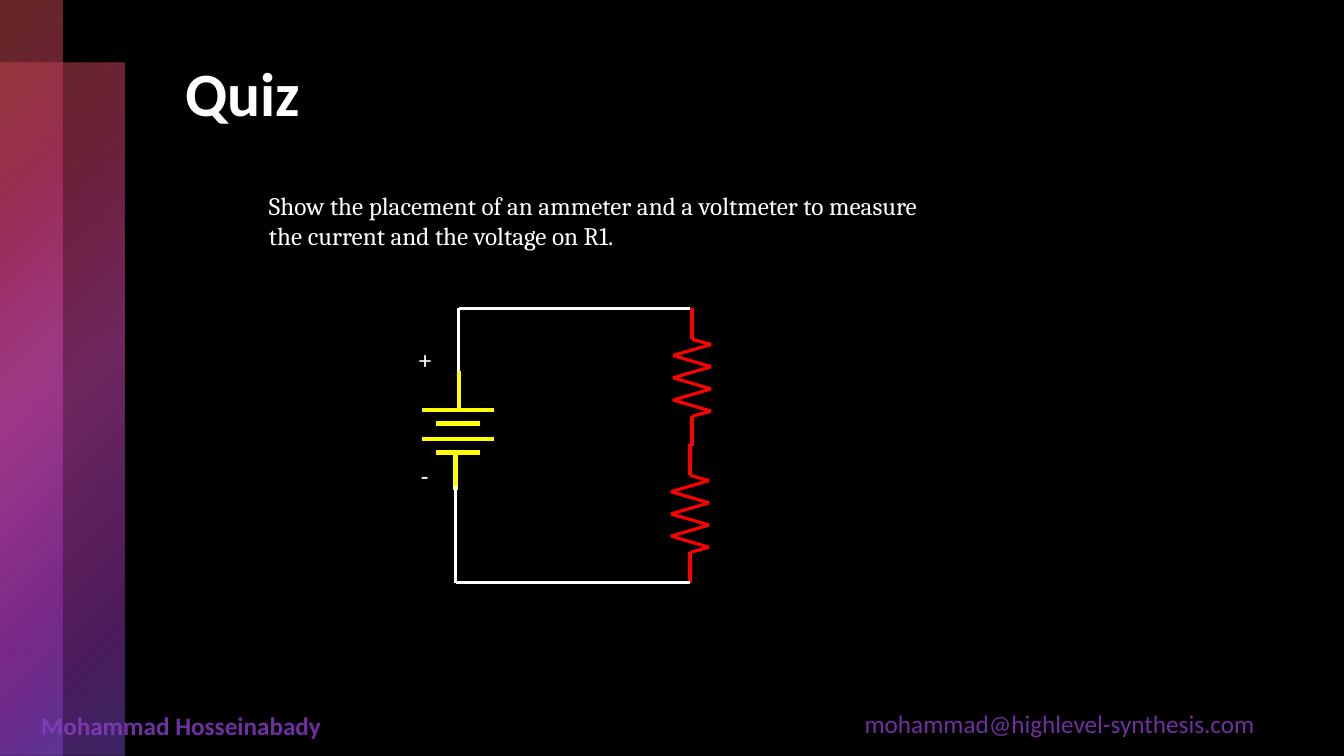
from itertools import pairwise
from lxml import etree
from pptx import Presentation
from pptx.dml.color import RGBColor
from pptx.enum.shapes import MSO_CONNECTOR as Link, MSO_SHAPE as Kind
from pptx.oxml.ns import qn
from pptx.util import Cm, Pt

WHITE = RGBColor(0xFF, 0xFF, 0xFF)
BLACK = RGBColor(0x00, 0x00, 0x00)
RED = RGBColor(0xFF, 0x00, 0x00)
YELLOW = RGBColor(0xFF, 0xFF, 0x00)
PURPLE = RGBColor(0x70, 0x30, 0xA0)
STOPS = [
    (0, RGBColor(0xC8, 0x4E, 0x48), 50),
    (25, RGBColor(0xB6, 0x36, 0x65), 60),
    (50, RGBColor(0xC8, 0x48, 0xAC), 55),
    (81, RGBColor(0x9C, 0x36, 0xB6), 50),
    (99, RGBColor(0x79, 0x48, 0xC8), 50),
]

deck = Presentation()
deck.slide_width, deck.slide_height = Cm(33.87), Cm(19.05)
slide = deck.slides.add_slide(deck.slide_layouts[6])
slide.background.fill.solid()
slide.background.fill.fore_color.rgb = BLACK
shapes = slide.shapes


def write(text, left, top, width, height, color=WHITE, size=18, font="Calibri", bold=False, wrap=True):
    box = shapes.add_textbox(Cm(left), Cm(top), Cm(width), Cm(height))
    frame = box.text_frame
    frame.word_wrap = wrap
    frame.text = text
    style = frame.paragraphs[0].runs[0].font
    style.name, style.size, style.bold = font, Pt(size), bold
    style.color.rgb = color


def wire(start, end, color, width):
    line = shapes.add_connector(Link.STRAIGHT, *map(Cm, start + end))
    line.line.color.rgb = color
    line.line.width = Pt(width)
    etree.SubElement(line._element.spPr, qn("a:effectLst"))


write("mohammad@highlevel-synthesis.com", 21.54, 17.73, 11.68, 1.02, PURPLE)
write("Mohammad Hosseinabady", 0.79, 17.78, 11.68, 1.02, PURPLE, bold=True)

for top, width in [(1.57, 3.15), (0, 1.57)]:
    band = shapes.add_shape(Kind.RECTANGLE, 0, Cm(top), Cm(width), Cm(19.05 - top))
    band.shadow.inherit = False
    band.line.fill.background()
    band.fill.gradient()
    grad = band._element.spPr.find(qn("a:gradFill"))
    for child in list(grad):
        grad.remove(child)
    stops = etree.SubElement(grad, qn("a:gsLst"))
    for place, color, alpha in STOPS:
        stop = etree.SubElement(stops, qn("a:gs"), pos=str(place * 1000))
        tint = etree.SubElement(stop, qn("a:srgbClr"), val=str(color))
        etree.SubElement(tint, qn("a:alpha"), val=str(alpha * 1000))
    shade = etree.SubElement(grad, qn("a:path"), {"path": "circle"})
    etree.SubElement(shade, qn("a:fillToRect"), r="100000", b="100000")

write("Quiz", 4.42, 1.27, 26.34, 4.32, size=44, bold=True)
write("Show the placement of an ammeter and a voltmeter to measure the current and the voltage on R1.",
      6.53, 4.67, 16.94, 1.8, font="Cambria")

for axis, top in [(17.44, 7.77), (17.39, 11.2)]:
    peaks = [(axis + 0.48 * (-1) ** i, top + 0.91 + 0.28 * i) for i in range(7)]
    points = [(axis, top), (axis, top + 0.78), *peaks, (axis, top + 2.72), (axis, top + 3.48)]
    for start, end in pairwise(points):
        wire(start, end, RED, 2.25)

for row, half in [(10.34, 0.9), (10.67, 0.55), (11.07, 0.9), (11.4, 0.55)]:
    wire((11.54 - half, row), (11.54 + half, row), YELLOW, 3)
wire((11.56, 9.35), (11.56, 10.34), YELLOW, 3)
wire((11.48, 11.4), (11.48, 12.34), YELLOW, 3)

wire((11.48, 14.68), (11.48, 12.24), WHITE, 2.25)
wire((11.56, 9.35), (11.56, 7.77), WHITE, 2.25)
write("+", 10.31, 8.56, 0.89, 1.02, wrap=False)
write("-", 10.36, 11.48, 0.76, 1.02, wrap=False)
wire((17.4, 7.77), (11.56, 7.77), WHITE, 2.25)
wire((17.4, 14.68), (11.48, 14.68), WHITE, 2.25)

deck.save("out.pptx")
